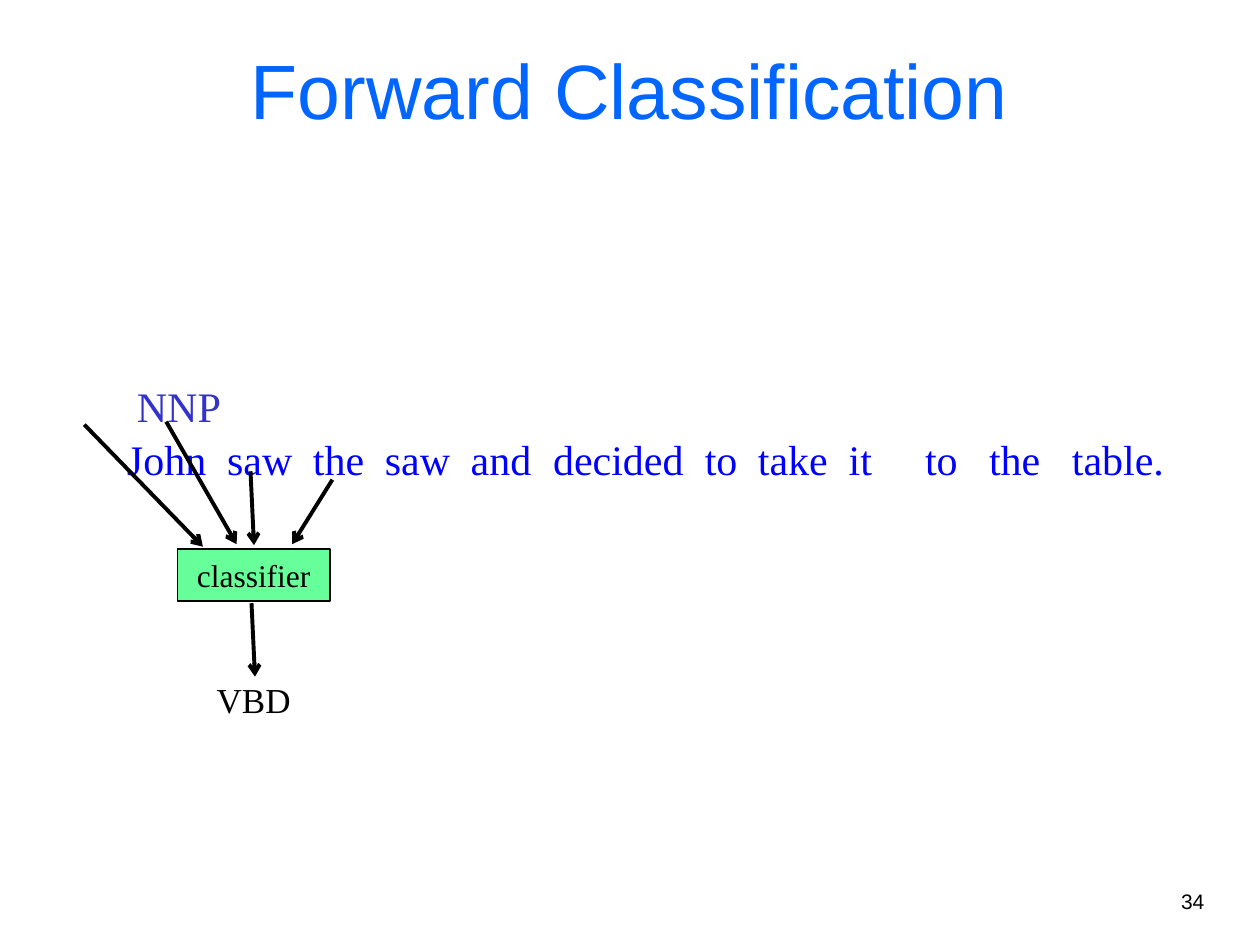
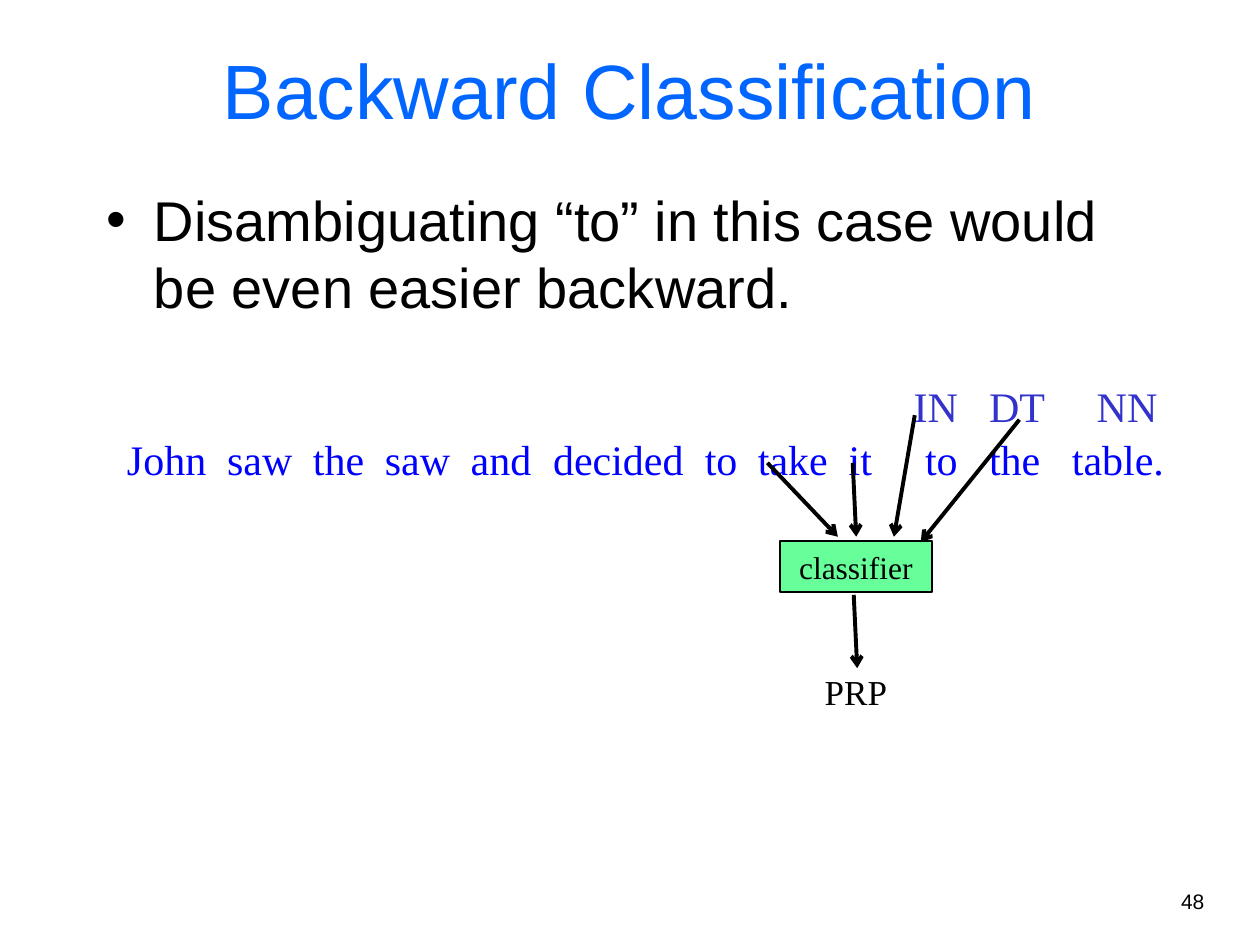
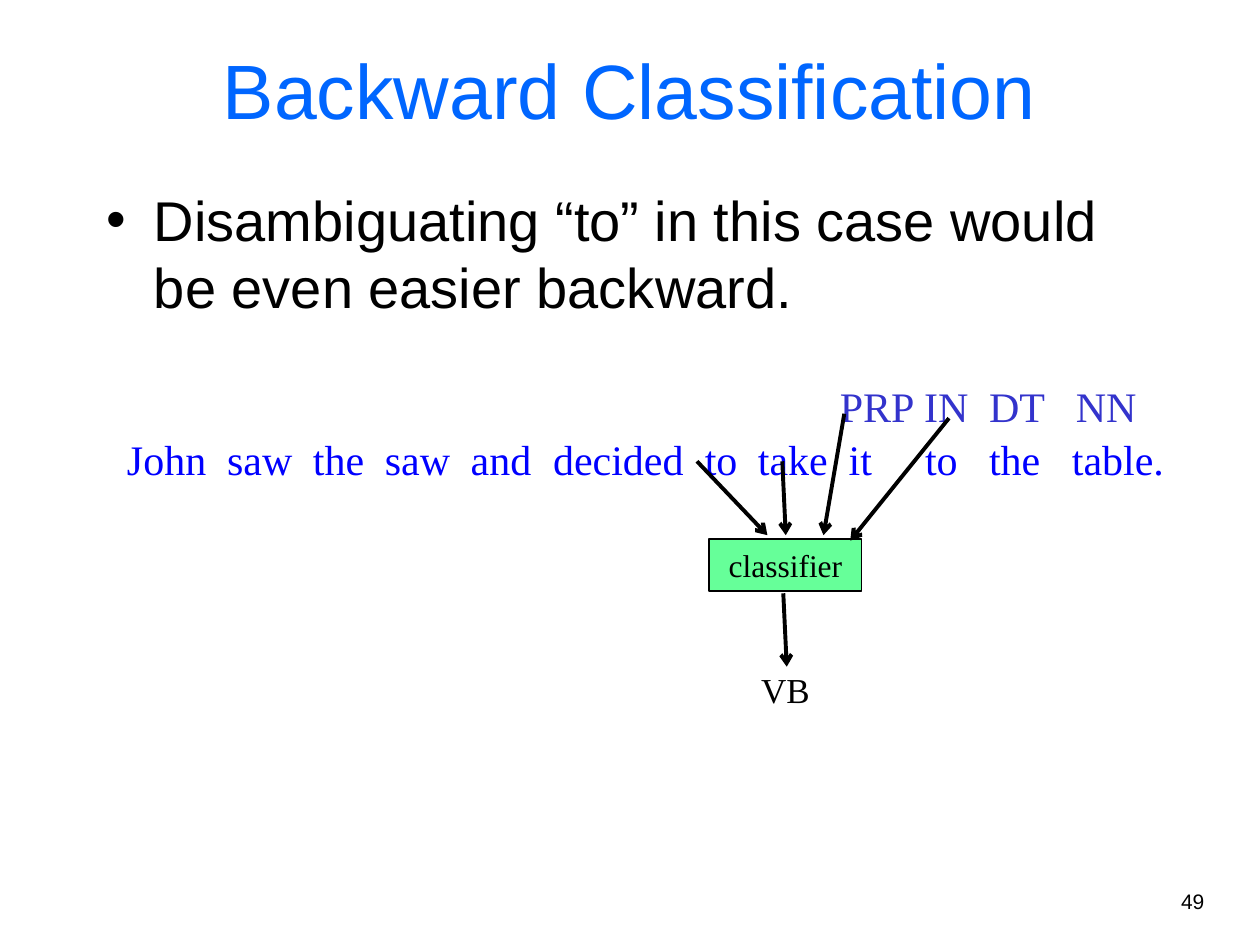
from lxml.etree import SubElement
from pptx import Presentation
from pptx.dml.color import RGBColor
from pptx.enum.shapes import MSO_CONNECTOR, MSO_SHAPE
from pptx.enum.text import MSO_ANCHOR, MSO_AUTO_SIZE, PP_ALIGN
from pptx.oxml.ns import qn
from pptx.util import Cm, Pt

SANS, SERIF = "Arial", "Times New Roman"
BLACK, TITLE_BLUE, WORD_BLUE, TAG_BLUE, GREEN = (
    "000000", "0066FF", "0000FF", "3333CC", "66FF99")

# Words of the sentence, each with its tab position in cm
SENTENCE = [("John", 0), ("saw", 2.02), ("the", 3.75), ("saw", 5.2),
            ("and", 6.93), ("decided", 8.59), ("to", 11.65), ("take", 12.72),
            ("it", 14.55), ("to", 16.09), ("the", 17.38), ("table.", 19.05)]

# Arrows in cm, measured from the classifier's top left corner
CURRENT_WORD = (1.47, -1.57, 1.54, -0.08)
OUTPUT = (1.49, 1.09, 1.56, 2.57)
FORWARD = [(-0.23, -2.57, 1.19, -0.1), (3.12, -1.4, 2.31, -0.1),
           (-1.88, -2.51, 0.51, -0.05)]
BACKWARD = [(-0.25, -1.57, 1.17, -0.08), (2.72, -2.53, 2.3, -0.08),
            (4.83, -2.44, 2.84, 0.03)]
BOX_WIDTH, BOX_HEIGHT, RESULT_WIDTH = 3.07, 1.04, 2.1

BACKWARD_NOTE = "Disambiguating “to” in this case would be even easier backward."
SLIDES = [
    dict(number="34", title="Forward Classification", note=None,
         tags=[("NNP", 0.2)], box=(3.58, 11.07), inputs=FORWARD, result="VBD"),
    dict(number="48", title="Backward Classification", note=BACKWARD_NOTE,
         tags=[("IN", 15.86), ("DT", 17.38), ("NN", 19.55)],
         box=(15.72, 10.9), inputs=BACKWARD, result="PRP"),
    dict(number="49", title="Backward Classification", note=BACKWARD_NOTE,
         tags=[("PRP", 14.37), ("IN", 16.07), ("DT", 17.38), ("NN", 19.13)],
         box=(14.3, 10.87), inputs=BACKWARD, result="VB"),
]


def color(value):
    return RGBColor.from_string(value)


class Deck:
    def __init__(self):
        self.presentation = Presentation()
        self.presentation.slide_width = Cm(25.4)
        self.presentation.slide_height = Cm(19.05)
        self.slide = None

    def add_slide(self, has_body):
        layout = self.presentation.slide_layouts[1 if has_body else 5]
        self.slide = self.presentation.slides.add_slide(layout)

    def add_run(self, paragraph, text, size, font, ink=BLACK):
        run = paragraph.add_run()
        run.text = text
        run.font.size = Pt(size)
        run.font.name = font
        run.font.color.rgb = color(ink)

    def place(self, shape, left, top, width, height):
        shape.left, shape.top = Cm(left), Cm(top)
        shape.width, shape.height = Cm(width), Cm(height)

    def title(self, text):
        shape = self.slide.shapes.title
        self.place(shape, 1.9, 0.2, 21.59, 3.18)
        shape.text_frame.vertical_anchor = MSO_ANCHOR.MIDDLE
        paragraph = shape.text_frame.paragraphs[0]
        paragraph.alignment = PP_ALIGN.CENTER
        self.add_run(paragraph, text, 44, SANS, TITLE_BLUE)

    def body(self, text):
        shape = self.slide.placeholders[1]
        self.place(shape, 1.9, 3.61, 21.59, 13.34)
        shape.text_frame.auto_size = MSO_AUTO_SIZE.NONE
        paragraph = shape.text_frame.paragraphs[0]
        properties = paragraph._p.get_or_add_pPr()
        properties.set("marL", str(Cm(0.95)))
        properties.set("indent", str(-Cm(0.95)))
        SubElement(properties, qn("a:buChar"), char="•")
        self.add_run(paragraph, text, 32, SANS)

    def text_box(self, left, top, width, height):
        frame = self.slide.shapes.add_textbox(
            Cm(left), Cm(top), Cm(width), Cm(height)).text_frame
        frame.word_wrap = True
        return frame

    def label(self, text, left, top, width, height, size, font, alignment):
        paragraph = self.text_box(left, top, width, height).paragraphs[0]
        paragraph.alignment = alignment
        self.add_run(paragraph, text, size, font)

    def tabbed_line(self, paragraph, items, ink):
        tab_list = SubElement(paragraph._p.get_or_add_pPr(), qn("a:tabLst"))
        for _, position in items:
            if position:
                SubElement(tab_list, qn("a:tab"), pos=str(Cm(position)), algn="l")
        text = "\t".join(word for word, _ in items)
        if items[0][1]:
            text = "\t" + text
        self.add_run(paragraph, text, 24, SERIF, ink)

    def tagged_sentence(self, tags):
        frame = self.text_box(2.31, 7.47, 21.44, 2.29)
        frame.margin_top, frame.margin_right = Cm(0.2), 0
        self.tabbed_line(frame.paragraphs[0], tags, TAG_BLUE)
        words = frame.add_paragraph()
        words.space_before = Pt(1.5)
        self.tabbed_line(words, SENTENCE, WORD_BLUE)

    def box(self, text, left, top):
        shape = self.slide.shapes.add_shape(
            MSO_SHAPE.RECTANGLE, Cm(left), Cm(top), Cm(BOX_WIDTH), Cm(BOX_HEIGHT))
        shape.shadow.inherit = False
        shape.fill.solid()
        shape.fill.fore_color.rgb = color(GREEN)
        shape.line.color.rgb = color(BLACK)
        shape.line.width = Pt(1)
        shape.text_frame.vertical_anchor = MSO_ANCHOR.MIDDLE
        paragraph = shape.text_frame.paragraphs[0]
        paragraph.alignment = PP_ALIGN.CENTER
        self.add_run(paragraph, text, 18, SERIF)

    def arrow(self, start_x, start_y, end_x, end_y):
        connector = self.slide.shapes.add_connector(
            MSO_CONNECTOR.STRAIGHT, Cm(start_x), Cm(start_y), Cm(end_x), Cm(end_y))
        connector.line.color.rgb = color(BLACK)
        connector.line.width = Pt(2.25)
        SubElement(connector.line._get_or_add_ln(), qn("a:tailEnd"), type="arrow")
        SubElement(connector._element.spPr, qn("a:effectLst"))

    def classifier(self, left, top, inputs, result):
        self.box("classifier", left, top)
        for x1, y1, x2, y2 in [*inputs, CURRENT_WORD, OUTPUT]:
            self.arrow(left + x1, top + y1, left + x2, top + y2)
        self.label(result, left + (BOX_WIDTH - RESULT_WIDTH) / 2, top + 2.49,
                   RESULT_WIDTH, 1.1, 20, SERIF, PP_ALIGN.CENTER)


def main():
    deck = Deck()
    for content in SLIDES:
        deck.add_slide(has_body=bool(content["note"]))
        # Title, note and slide number
        deck.title(content["title"])
        if content["note"]:
            deck.body(content["note"])
        deck.label(content["number"], 19.25, 17.78, 5.28, 1.27, 12, SANS,
                   PP_ALIGN.RIGHT)
        # Sentence with its tags, and the classifier below
        deck.tagged_sentence(content["tags"])
        deck.classifier(*content["box"], content["inputs"], content["result"])
    deck.presentation.save("out.pptx")


if __name__ == "__main__":
    main()
